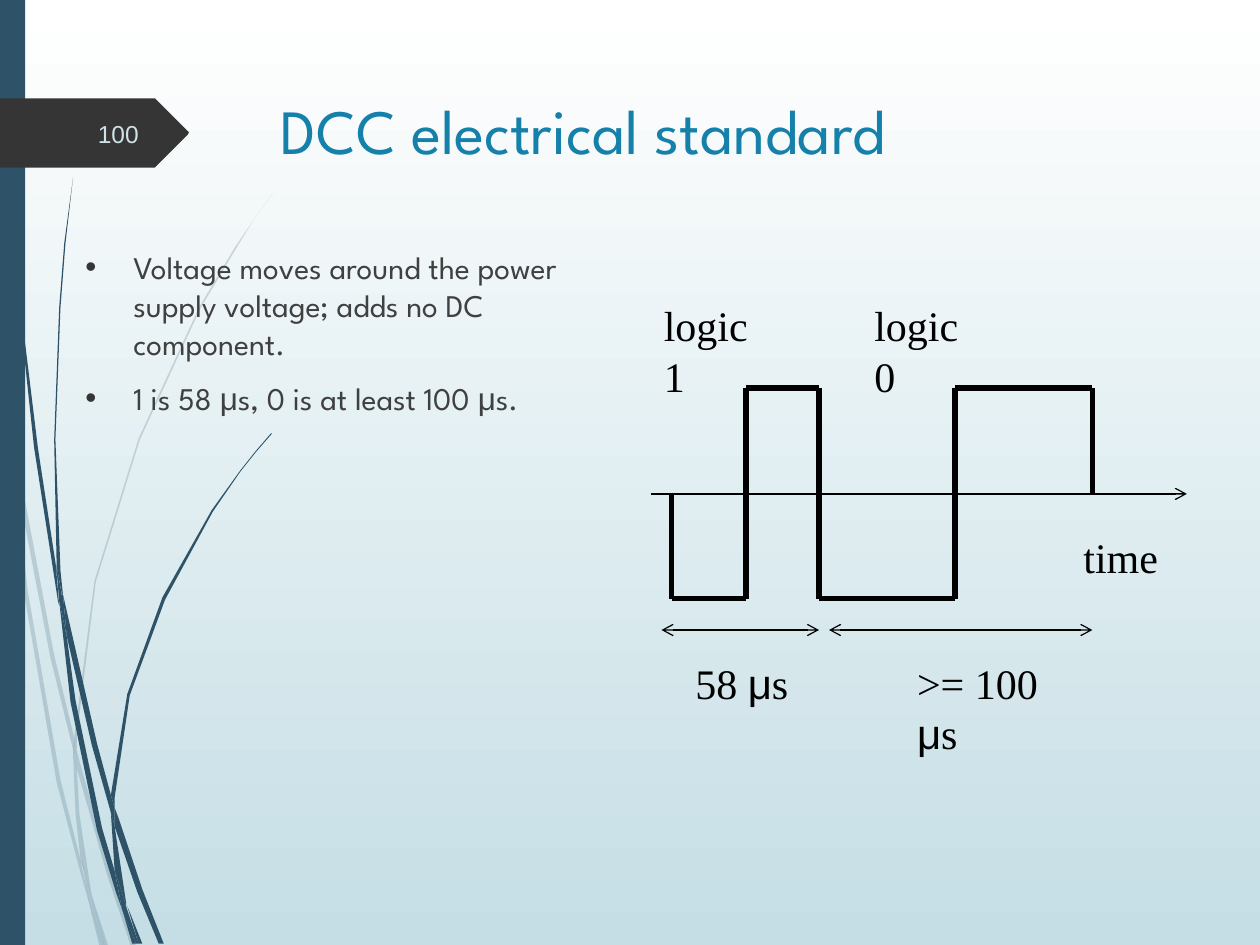
from itertools import groupby, pairwise

from lxml.etree import SubElement
from pptx import Presentation
from pptx.dml.color import RGBColor
from pptx.enum.shapes import MSO_CONNECTOR, MSO_SHAPE
from pptx.enum.text import MSO_ANCHOR, MSO_AUTO_SIZE, PP_ALIGN
from pptx.oxml.ns import qn
from pptx.util import Pt

PX_PER_INCH = 100
SCALE = 914400 / PX_PER_INCH
TEAL, CHARCOAL, BLACK = "2E5369", "353535", "000000"
HEADING_FONT, SYMBOL_FONT, LABEL_FONT = "League Spartan", "Arial", "Times New Roman"

PALE_WISPS = [
    [(8, 350), (6, 322), (0, 282), (0, 299), (7, 344)],
    [(40, 522), (59, 599), (59, 586), (43, 520), (10, 345), (12, 376)],
    [(64, 607), (61, 596), (61, 610), (85, 694), (104, 751), (108, 751), (88, 692)],
    [(83, 751), (86, 751), (73, 711)],
    [(64, 683), (48, 619), (22, 469), (12, 376), (8, 350), (19, 470), (45, 621),
     (64, 693), (70, 714), (69, 707)],
    [(58, 599), (60, 646), (64, 683), (67, 692), (73, 711), (72, 706), (63, 646),
     (61, 610), (61, 608)],
    [(61, 584), (76, 462), (111, 349), (159, 245), (187, 198), (201, 175), (217, 153),
     (201, 175), (186, 197), (158, 244), (110, 348), (75, 461), (59, 584), (59, 586),
     (61, 596)],
    [(70, 714), (79, 751), (82, 751)],
    [(61, 608), (61, 610), (61, 596), (59, 586), (58, 599)],
    [(67, 692), (65, 683), (69, 707), (70, 714), (82, 751), (83, 751), (73, 711)],
]
DARK_WISPS = [
    [(5, 110), (14, 233), (27, 355), (46, 477), (47, 481), (45, 457), (45, 453),
     (30, 355), (15, 232), (6, 109), (4, 48), (3, 0), (2, 0), (3, 48)],
    [(73, 592), (88, 645), (88, 633), (88, 631), (77, 590), (50, 472), (53, 505)],
    [(94, 649), (91, 641), (91, 656), (109, 708), (126, 749), (130, 749), (113, 706)],
    [(91, 691), (81, 657), (60, 556), (53, 505), (47, 477), (56, 557), (77, 659),
     (92, 708), (97, 722), (96, 717)],
    [(50, 472), (48, 453), (44, 349), (48, 244), (52, 193), (58, 141), (51, 193),
     (47, 244), (43, 349), (45, 449), (49, 471)],
    [(110, 749), (113, 749), (101, 719)],
    [(47, 477), (53, 505), (50, 472), (49, 472), (45, 449), (45, 453)],
    [(91, 633), (103, 552), (131, 476), (169, 406), (191, 374), (203, 359), (216, 344),
     (215, 344), (203, 358), (191, 373), (168, 405), (129, 474), (101, 551), (88, 631),
     (91, 641)],
    [(97, 722), (105, 749), (108, 749)],
    [(88, 645), (91, 691), (96, 706), (100, 719), (100, 716), (91, 656), (90, 651)],
    [(88, 645), (90, 651), (91, 656), (91, 641), (88, 631), (88, 633)],
    [(96, 706), (91, 691), (96, 717), (97, 722), (108, 749), (110, 749), (100, 719)],
]
TAG_OUTLINE = [(149, 29), (124, 54), (123, 55), (121, 55), (0, 55), (0, 0), (121, 0),
               (123, 0), (124, 1), (149, 26), (150, 27)]


def px(length):
    """Turn px into EMU."""
    return round(length * SCALE)


def color(hex_code):
    """Turn a hex string into a colour."""
    return RGBColor.from_string(hex_code)


def paint(shape, hex_code, opacity=100):
    """Fill a shape plainly, without outline or shadow."""
    shape.shadow.inherit = False
    shape.fill.solid()
    shape.fill.fore_color.rgb = color(hex_code)
    shape.line.fill.background()
    if opacity < 100:
        tint = shape.element.spPr.find(".//" + qn("a:srgbClr"))
        SubElement(tint, qn("a:alpha"), val=str(opacity * 1000))


def add_outline(slide, left, top, points, hex_code, opacity=100):
    """Draw a closed filled outline whose points start from left and top."""
    builder = slide.shapes.build_freeform(*points[0], scale=SCALE)
    builder.add_line_segments(points[1:], close=True)
    paint(builder.convert_to_shape(px(left), px(top)), hex_code, opacity)


def add_frame(slide, left, top, width, height, wrap=True):
    """Add an empty text box and return its text frame."""
    frame = slide.shapes.add_textbox(px(left), px(top), px(width), px(height)).text_frame
    frame.word_wrap = wrap
    return frame


def write(paragraph, text, size, font, hex_code):
    """Write text in one font, with its Greek letters in the symbol font."""
    for is_mu, letters in groupby(text, key=lambda letter: letter == "μ"):
        run = paragraph.add_run()
        run.text = "".join(letters)
        run.font.size = Pt(size)
        run.font.name = SYMBOL_FONT if is_mu else font
        run.font.color.rgb = color(hex_code)


def add_line(slide, start, end, weight, arrows=()):
    """Draw a straight black line with arrowheads at the named ends."""
    line = slide.shapes.add_connector(
        MSO_CONNECTOR.STRAIGHT, *(px(value) for value in (*start, *end)))
    line.line.width = Pt(weight)
    line.line.color.rgb = color(BLACK)
    properties = line.element.spPr
    for arrow_end in arrows:
        SubElement(properties.find(qn("a:ln")), qn(f"a:{arrow_end}"), type="arrow")
    SubElement(properties, qn("a:effectLst"))


def add_backdrop(slide, left, top, height):
    """Draw the gradient, the grass-like wisps and the side bar."""
    fill = slide.background.fill
    fill.gradient()
    fill.gradient_angle = 270
    for stop, position, hex_code in zip(fill.gradient_stops, (0, 1), ("FFFFFF", "C5DEE5")):
        stop.position = position
        stop.color.rgb = color(hex_code)
    for wisps, opacity in ((PALE_WISPS, 20), (DARK_WISPS, 100)):
        for points in wisps:
            add_outline(slide, left, top, points, TEAL, opacity)
    side_bar = slide.shapes.add_shape(
        MSO_SHAPE.RECTANGLE, px(left), px(top), px(20), px(height))
    paint(side_bar, TEAL)


def add_page_tag(slide, left, top, number):
    """Draw the arrow-shaped tag with the page number."""
    add_outline(slide, left, top, TAG_OUTLINE, CHARCOAL)
    frame = add_frame(slide, left + 56, top + 8, 64, 40)
    frame.vertical_anchor = MSO_ANCHOR.MIDDLE
    frame.paragraphs[0].alignment = PP_ALIGN.RIGHT
    write(frame.paragraphs[0], number, 14, SYMBOL_FONT, "CFE2E7")


def add_title(slide, left, top, width, height, title):
    """Write the slide title."""
    frame = add_frame(slide, left, top, width, height)
    write(frame.paragraphs[0], title, 36, HEADING_FONT, "1581AA")


def add_bullets(slide, left, top, width, height, points):
    """Write the bulleted points with hanging indents."""
    frame = add_frame(slide, left, top, width, height)
    for index, point in enumerate(points):
        paragraph = frame.add_paragraph() if index else frame.paragraphs[0]
        if index:
            paragraph.space_before = Pt(10)
        properties = paragraph._p.get_or_add_pPr()
        properties.set("marL", str(px(38)))
        properties.set("indent", str(px(-38)))
        bullet_color = SubElement(properties, qn("a:buClr"))
        SubElement(bullet_color, qn("a:srgbClr"), val=CHARCOAL)
        SubElement(properties, qn("a:buFont"), typeface=SYMBOL_FONT)
        SubElement(properties, qn("a:buChar"), char="•")
        write(paragraph, point, 18, HEADING_FONT, "404040")


def add_waveform(slide, left, top, width):
    """Draw the two logic pulses on a time axis, with their durations."""
    high, axis, low, durations = (top + y for y in (75, 159, 242, 267))
    edges = [left + x for x in (16, 75, 133, 241, 350)]
    add_line(slide, (left, axis), (left + width, axis), 0.75, ["tailEnd"])

    signal = [(edges[0], axis)]
    for index, (start, end) in enumerate(pairwise(edges)):
        level = high if index % 2 else low
        signal += [(start, level), (end, level), (end, axis)]
    for start, end in pairwise(signal):
        add_line(slide, start, end, 3)

    for start, end in ((left + 8, edges[2]), (edges[2] + 8, edges[4])):
        add_line(slide, (start, durations), (end, durations), 0.75, ["headEnd", "tailEnd"])

    for label, x, y, label_width in (
        ("logic 1", 0, 0, 111), ("logic 0", 167, 0, 111), ("time", 333, 184, 79),
        ("58 μs", 25, 284, 94), (">= 100 μs", 201, 284, 156),
    ):
        frame = add_frame(slide, left + x, top + y, label_width, 50, wrap=False)
        frame.auto_size = MSO_AUTO_SIZE.SHAPE_TO_FIT_TEXT
        write(frame.paragraphs[0], label, 24, LABEL_FONT, BLACK)


def main():
    """Build the slide and save it."""
    deck = Presentation()
    deck.slide_width, deck.slide_height = px(1000), px(750)
    slide = deck.slides.add_slide(deck.slide_layouts[6])
    add_backdrop(slide, 0, 0, 750)
    add_page_tag(slide, 0, 78, "100")
    add_title(slide, 213, 68, 721, 140, "DCC electrical standard")
    add_bullets(slide, 58, 192, 439, 456, [
        "Voltage moves around the power supply voltage; adds no DC component.",
        "1 is 58 μs, 0 is at least 100 μs.",
    ])
    add_waveform(slide, 517, 233, 425)
    deck.save("out.pptx")


if __name__ == "__main__":
    main()
